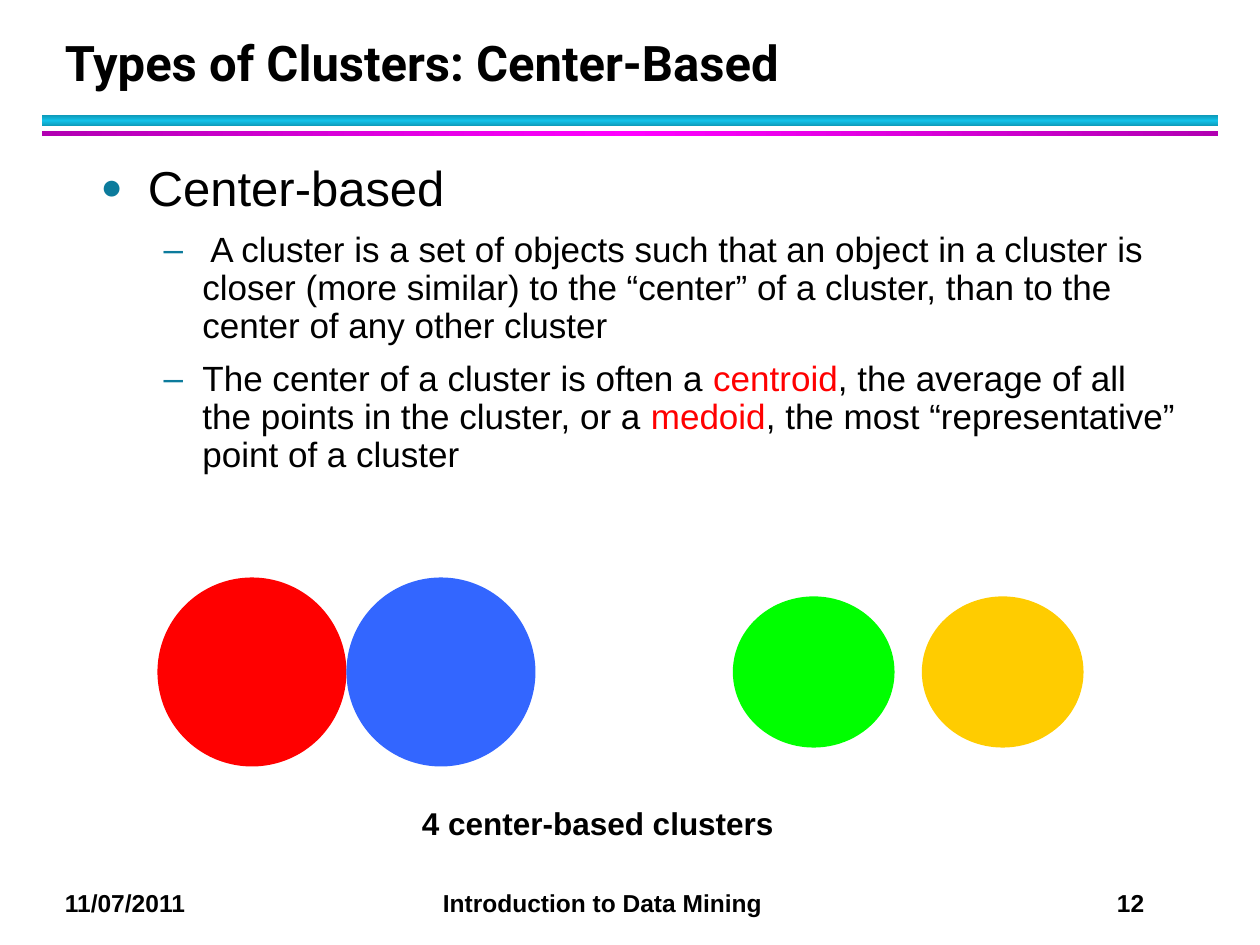
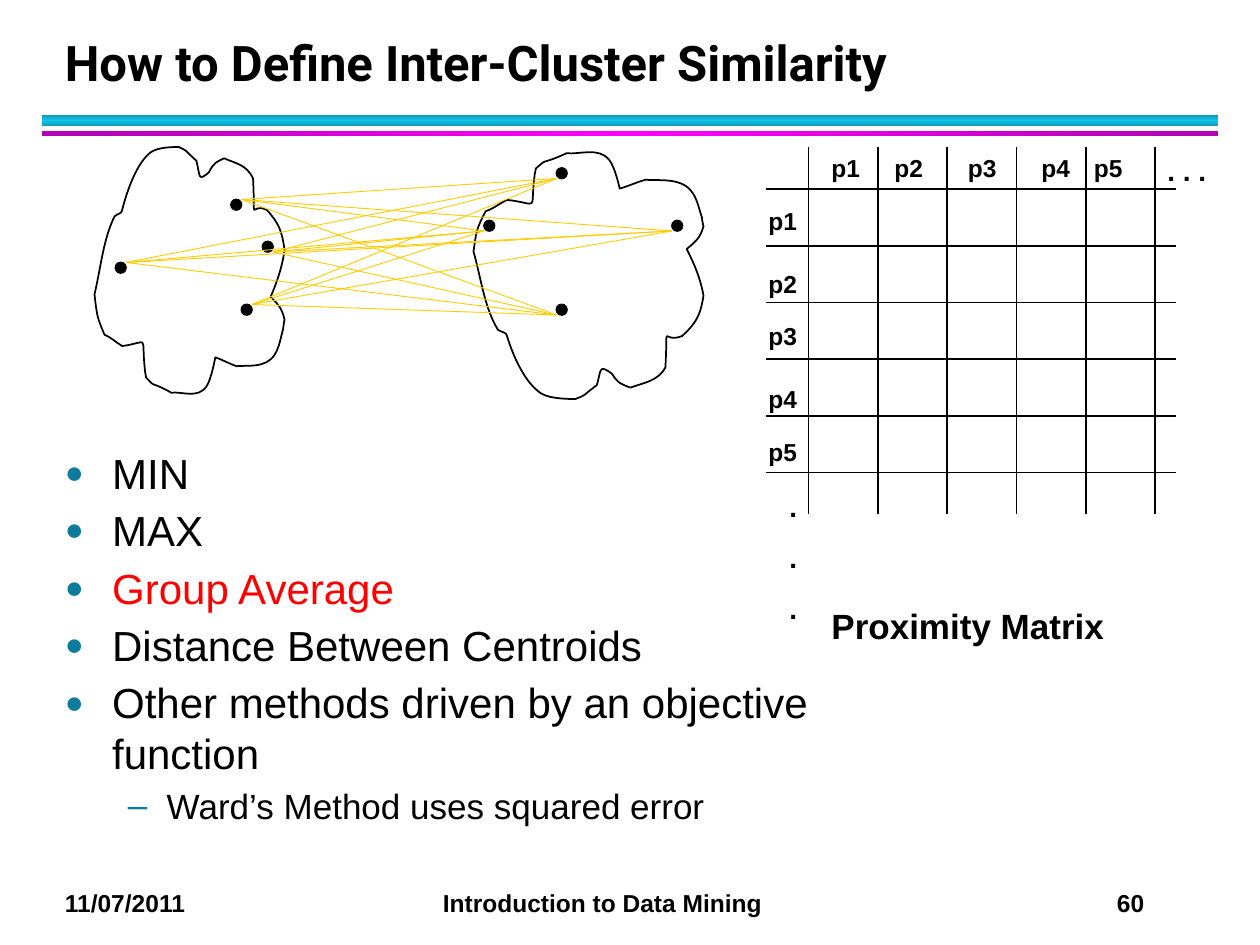
import copy
import dataclasses
import itertools

import lxml.etree
import pptx
import pptx.dml.color
import pptx.enum.shapes
import pptx.enum.text
import pptx.oxml.ns
import pptx.util

SCALE = 7620  # EMU in one px, 120 px to the inch
SHAPE = pptx.enum.shapes.MSO_SHAPE
qn = pptx.oxml.ns.qn


@dataclasses.dataclass(frozen=True)
class Theme:
    ink: str = "000000"
    mark: str = "FF0000"
    bullet: str = "0C7B9C"
    link: str = "FFCC00"
    cyan: tuple = ("0E9BBA", "12C2E9")
    pink: tuple = ("B200B2", "FF00FF")
    discs: tuple = ("FF0000", "3366FF", "00FF00", "FFCC00")
    body: str = "Arial"
    head: str = "Roboto"
    title: int = 28
    large: int = 24
    mid: int = 20
    note: int = 18
    dots: int = 16
    small: int = 14


THEME = Theme()

# Cluster outline: start point, then cubic curves, in a 151 x 200 frame
FRAME = (151, 200)
START = (16, 55)
CURVES = [
    (7, 73, 5, 96, 0, 117), (2, 134, 2, 135, 8, 149),
    (13, 151, 17, 155, 22, 158), (44, 155, 37, 148, 40, 176),
    (40, 179, 41, 181, 41, 183), (48, 190, 44, 187, 51, 190),
    (54, 191, 61, 195, 61, 195), (70, 194, 82, 200, 89, 190),
    (93, 184, 96, 167, 96, 167), (102, 169, 107, 172, 113, 174),
    (121, 173, 136, 176, 143, 165), (147, 159, 148, 151, 150, 144),
    (150, 142, 151, 137, 151, 137), (149, 128, 146, 125, 140, 119),
    (145, 107, 149, 96, 151, 82), (149, 66, 146, 60, 137, 50),
    (123, 43, 128, 65, 126, 25), (121, 14, 112, 13, 103, 9),
    (97, 12, 95, 12, 91, 20), (82, 28, 84, 23, 81, 11),
    (70, 1, 75, 4, 67, 0), (63, 0, 51, 0, 45, 4),
    (34, 12, 26, 34, 22, 50), (22, 53, 18, 53, 16, 55),
]


def emu(*sizes):
    return [pptx.util.Emu(round(size * SCALE)) for size in sizes]


def rgb(code):
    return pptx.dml.color.RGBColor.from_string(code)


def apply(item, form):
    for name, value in form.items():
        setattr(item, name, value)


def child(node, tag, **attrs):
    return lxml.etree.SubElement(node, qn(tag), attrs)


# Basic parts

def shape(slide, kind, box, fill=None, line=None):
    part = slide.shapes.add_shape(kind, *emu(*box))
    paint(part, fill, line)
    return part


def paint(part, fill=None, line=None):
    part.shadow.inherit = False
    if fill:
        part.fill.solid()
        part.fill.fore_color.rgb = rgb(fill)
    else:
        part.fill.background()
    if line:
        part.line.color.rgb = rgb(line)
        part.line.width = pptx.util.Pt(1)
    else:
        part.line.fill.background()


def rule(slide, start, end, color, width):
    line = slide.shapes.add_connector(
        pptx.enum.shapes.MSO_CONNECTOR.STRAIGHT, *emu(*start, *end))
    line.line.color.rgb = rgb(color)
    line.line.width = pptx.util.Pt(width)
    child(line.element.spPr, "a:effectLst")


def frame(slide, box, **form):
    text = slide.shapes.add_textbox(*emu(*box)).text_frame
    apply(text, {"word_wrap": True, **form})
    return text


def fill(para, runs, size, bold=False, font=THEME.body, **form):
    """Write runs, each a string or a (string, colour) pair."""
    apply(para, form)
    for item in runs:
        words, color = (item, THEME.ink) if isinstance(item, str) else item
        run = para.add_run()
        run.text = words
        apply(run.font, {"size": pptx.util.Pt(size), "bold": bold,
                         "name": font})
        run.font.color.rgb = rgb(color)


def label(slide, box, words, size):
    text = frame(slide, box)
    fill(text.paragraphs[0], [words], size, bold=True)
    return text


def bullets(slide, box, items, gap, sizes, **form):
    """Write (level, runs) items as a two-level list."""
    text = frame(slide, box)
    levels = [("●", 45, 45, "75000"), ("–", 97, 37, "100000")]
    for pos, (level, runs) in enumerate(items):
        para = text.add_paragraph() if pos else text.paragraphs[0]
        para.level = level
        sign, left, hang, scale = levels[level]
        props = para._p.get_or_add_pPr()
        props.set("marL", str(left * SCALE))
        props.set("indent", str(-hang * SCALE))
        child(child(props, "a:buClr"), "a:srgbClr", val=THEME.bullet)
        child(props, "a:buSzPct", val=scale)
        child(props, "a:buFont", typeface=THEME.body)
        child(props, "a:buChar", char=sign)
        if pos:
            para.space_before = pptx.util.Pt(gap[level])
        fill(para, runs, sizes[level], **form)


# Shared slide frame

def band(slide, box, colors, angle):
    bar = shape(slide, SHAPE.RECTANGLE, box)
    bar.fill.gradient()
    bar.fill.gradient_angle = angle
    stops = bar.element.find(".//" + qn("a:gsLst"))
    stops.insert(1, copy.deepcopy(stops[0]))
    stops[1].set("pos", "50000")
    edge, core = colors
    for stop, color in zip(bar.fill.gradient_stops, (edge, core, edge)):
        stop.color.rgb = rgb(color)


def footer(slide, box, number):
    text = frame(slide, box)
    para = text.paragraphs[0]
    tabs = child(para._p.get_or_add_pPr(), "a:tabLst")
    for stop in (360, 1002):
        child(tabs, "a:tab", pos=str(stop * SCALE), algn="l")
    words = f"11/07/2011\tIntroduction to Data Mining\t{number}"
    fill(para, [words], THEME.small, bold=True)


def base(deck, title, number):
    slide = deck.slides.add_slide(deck.slide_layouts[6])
    band(slide, (40, 110, 1120, 10), THEME.cyan, 90)
    band(slide, (40, 125, 1120, 5), THEME.pink, 0)
    footer(slide, (50, 840, 1120, 41), number)
    text = frame(slide, (50, 20, 1087, 73),
                 vertical_anchor=pptx.enum.text.MSO_ANCHOR.BOTTOM)
    fill(text.paragraphs[0], [title], THEME.title, bold=True,
         font=THEME.head, line_spacing=pptx.util.Pt(36))
    return slide


# Center-based clusters

def discs(slide, box):
    left, top, _, high = box
    spots = [(0, 180, 180), (180, 180, 180), (548, 154, 144),
             (728, 154, 144)]
    for (x, wide, tall), color in zip(spots, THEME.discs):
        place = (left + x, top + (high - tall) / 2, wide, tall)
        shape(slide, SHAPE.OVAL, place, color)


def center(deck):
    slide = base(deck, "Types of Clusters: Center-Based", 12)
    items = [
        (0, ["Center-based"]),
        (1, [" A cluster is a set of objects such that an object in a "
             "cluster is closer (more similar) to the “center” of a "
             "cluster, than to the center of any other cluster"]),
        (1, ["The center of a cluster is often a ",
             ("centroid", THEME.mark),
             ", the average of all the points in the cluster, or a ",
             ("medoid", THEME.mark),
             ", the most “representative” point of a cluster"]),
    ]
    bullets(slide, (84, 150, 1050, 671), items, (7, 5),
            (THEME.title, THEME.mid), line_spacing=0.9,
            space_after=pptx.util.Pt(4))
    discs(slide, (150, 550, 882, 180))
    label(slide, (390, 760, 420, 48), "4 center-based clusters", THEME.note)


# Similarity between clusters

def blob(slide, box, flip=False):
    left, top, wide, high = box

    def fit(point):
        x, y = point[0] / FRAME[0], point[1] / FRAME[1]
        return emu(left + x * wide, top + (1 - y if flip else y) * high)

    pen = slide.shapes.build_freeform(*fit(START), scale=1.0)
    pen.add_line_segments([fit(curve[4:]) for curve in CURVES], close=True)
    part = pen.convert_to_shape()
    paint(part, line=THEME.ink)

    # Bend each straight segment into its cubic curve
    for line, curve in zip(part.element.findall(".//" + qn("a:lnTo")),
                           CURVES):
        bend = lxml.etree.Element(qn("a:cubicBezTo"))
        for pos in (0, 2, 4):
            x, y = fit(curve[pos:pos + 2])
            child(bend, "a:pt", x=str(x - part.left), y=str(y - part.top))
        line.getparent().replace(line, bend)


def pairs(slide, box):
    left, top, wide, high = box
    near = [(140, 150), (130, 50), (20, 110), (160, 90)]
    far = [(550, 70), (371, 70), (440, 150), (440, 20)]
    tips = [(150, 150), (140, 50), (30, 110), (170, 100)]
    ends = [(x, y + 10) for x, y in far]
    blob(slide, (left, top, 181, high))
    blob(slide, (left + wide - 219, top, 219, high), flip=True)
    for x, y in near + far:
        shape(slide, SHAPE.OVAL, (left + x, top + y, 10, 10),
              THEME.ink, THEME.ink)
    for (x, y), (u, v) in itertools.product(tips, ends):
        rule(slide, (left + x, top + y), (left + u, top + v),
             THEME.link, 0.5)


def matrix(slide, box):
    left, top, wide, high = box
    for pos in range(6):
        x, y = left + 50 + 66 * pos, top + 40 + 54 * pos
        rule(slide, (x, top), (x, top + high), THEME.ink, 1)
        rule(slide, (left + 10, y), (left + 10 + wide, y), THEME.ink, 1)
    cols, rows = (60, 120, 190, 260, 310), (50, 110, 160, 220, 270)
    for pos, (x, y) in enumerate(zip(cols, rows), 1):
        for dx, dy in ((x, 0), (0, y)):
            label(slide, (left + dx, top + dy, 70, 41), f"p{pos}",
                  THEME.small)
    label(slide, (left + 380, top, 70, 44), ". . .", THEME.dots)
    text = label(slide, (left + 20, top + 320, 70, 142), ".", THEME.dots)
    for _ in range(2):
        fill(text.add_paragraph(), ["."], THEME.dots, bold=True,
             space_before=pptx.util.Pt(10))
    label(slide, (left + 60, top + 430, 330, 53), "Proximity Matrix",
          THEME.mid)


def inter(deck):
    slide = base(deck, "How to Define Inter-Cluster Similarity", 60)
    matrix(slide, (720, 140, 390, 350))
    pairs(slide, (90, 140, 580, 240))
    items = [
        (0, ["MIN"]),
        (0, ["MAX"]),
        (0, [("Group Average", THEME.mark)]),
        (0, ["Distance Between Centroids"]),
        (0, ["Other methods driven by an objective function"]),
        (1, ["Ward’s Method uses squared error"]),
    ]
    bullets(slide, (50, 420, 760, 410), items, (2, 2),
            (THEME.large, THEME.mid), space_after=pptx.util.Pt(2))


def main():
    deck = pptx.Presentation()
    deck.slide_width, deck.slide_height = emu(1200, 900)
    center(deck)
    inter(deck)
    deck.save("out.pptx")


if __name__ == "__main__":
    main()
